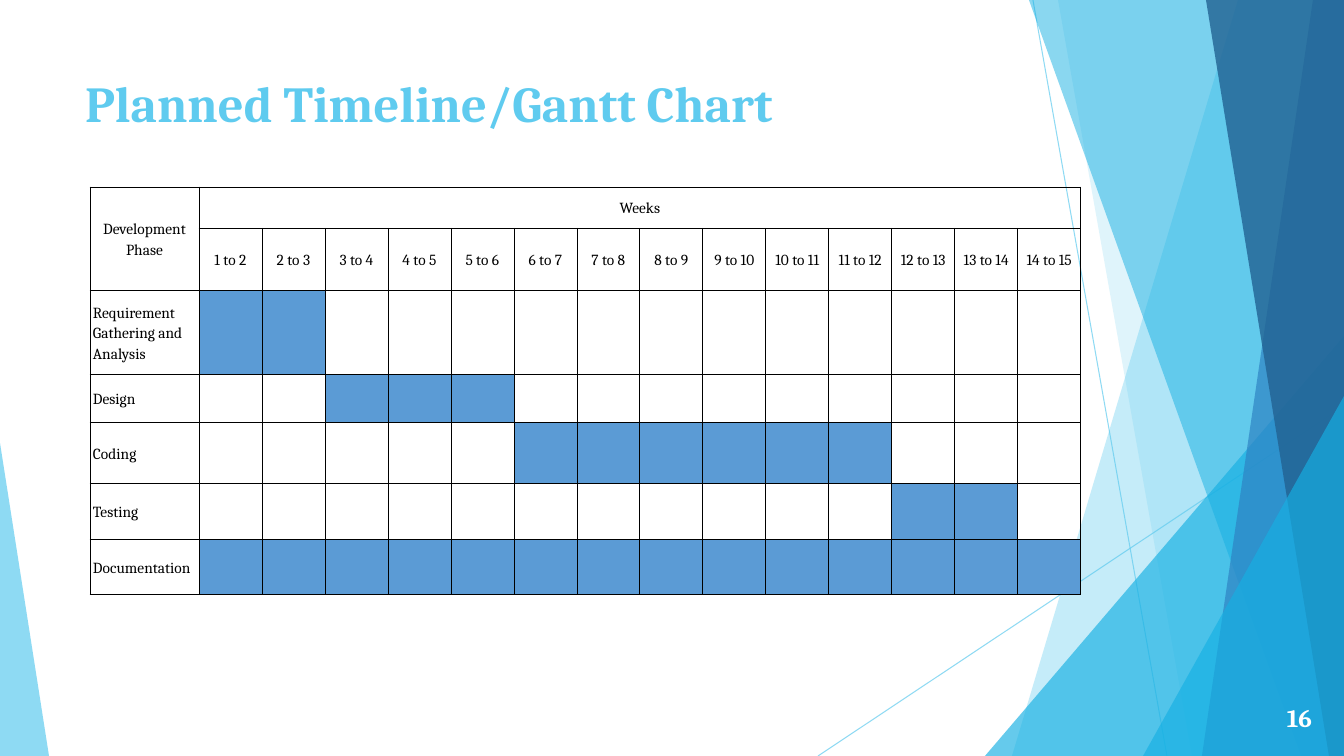
import pptx
import pptx.dml.color
import pptx.enum.shapes
import pptx.enum.text
import pptx.oxml
import pptx.oxml.ns
import pptx.util

TITLE = "Planned Timeline/Gantt Chart"
PAGE_NUMBER = "16"
FONT = "Cambria"
SKY, AQUA, BLUE, NAVY = "5FCBEF", "16B0E3", "2E83C3", "226292"
BLACK, WHITE, BAR = "000000", "FFFFFF", "5B9BD5"

# Phase, first and last marked week column
PHASES = [
    ("Requirement Gathering and Analysis", 1, 2),
    ("Design", 3, 5),
    ("Coding", 6, 11),
    ("Testing", 12, 13),
    ("Documentation", 1, 14),
]
WEEK_COUNT = 14
TABLE_LEFT, TABLE_TOP = 90, 187
PHASE_WIDTH, WEEK_WIDTH = 109, 63
ROW_HEIGHTS = [40, 61, 82, 48, 61, 56, 55]

# Decoration, back to front: lengths in px, opacity in percent
RAYS = [(1033, 0, 1167, 756), (1344, 406, 818, 756)]
# Band: left x at top, right x at top, right x at bottom, left x at bottom
# Triangle: left, top, width, height, apex position
FACETS = [
    ("band", (1238, 1344, 1344, 1012), SKY, 36),
    ("band", (1058, 1344, 1344, 1192), SKY, 20),
    ("triangle", (985, 336, 359, 420, 1), AQUA, 66),
    ("band", (1029, 1344, 1344, 1301), AQUA, 50),
    ("band", (1313, 1344, 1344, 1202), BLUE, 70),
    ("band", (1206, 1344, 1344, 1329), NAVY, 80),
    ("triangle", (1143, 396, 201, 360, 1), AQUA, 66),
    ("triangle", (0, 443, 49, 313, 0), SKY, 70),
]
SLIDE_WIDTH, SLIDE_HEIGHT = 1344, 756
ALIGN = pptx.enum.text.PP_ALIGN
ANCHOR = pptx.enum.text.MSO_ANCHOR


def px(length):
    return pptx.util.Emu(round(length * 914400 / 100.8))


def color(code):
    return pptx.dml.color.RGBColor.from_string(code)


def set_opacity(shape, percent):
    for node in shape._element.spPr.iter(pptx.oxml.ns.qn("a:srgbClr")):
        node.append(pptx.oxml.parse_xml(
            f'<a:alpha {pptx.oxml.ns.nsdecls("a")} val="{percent * 1000}"/>'))


def write(frame, text, size, code, align, bold=False):
    para = frame.paragraphs[0]
    para.text = text
    para.alignment = align
    para.font.name = FONT
    para.font.size = pptx.util.Pt(size)
    para.font.bold = bold
    para.font.color.rgb = color(code)
    return para


def add_ray(page, ends):
    ray = page.shapes.add_connector(
        pptx.enum.shapes.MSO_CONNECTOR.STRAIGHT, *map(px, ends))
    ray.line.color.rgb = color(SKY)
    ray.line.width = pptx.util.Pt(0.75)
    set_opacity(ray, 70)
    ray._element.spPr.append(pptx.oxml.parse_xml(
        f'<a:effectLst {pptx.oxml.ns.nsdecls("a")}/>'))


def add_facet(page, kind, geometry, code, opacity):
    if kind == "band":
        corners = list(zip(map(px, geometry), map(px, (0, 0, SLIDE_HEIGHT, SLIDE_HEIGHT))))
        builder = page.shapes.build_freeform(*corners[0])
        builder.add_line_segments(corners[1:], close=True)
        facet = builder.convert_to_shape()
    else:
        facet = page.shapes.add_shape(
            pptx.enum.shapes.MSO_SHAPE.ISOSCELES_TRIANGLE, *map(px, geometry[:4]))
        facet.adjustments[0] = geometry[4]
    facet.shadow.inherit = False
    facet.fill.solid()
    facet.fill.fore_color.rgb = color(code)
    facet.line.fill.background()
    set_opacity(facet, opacity)


def add_borders(cell):
    properties = cell._tc.get_or_add_tcPr()
    for side in ("lnL", "lnR", "lnT", "lnB"):
        properties.append(pptx.oxml.parse_xml(
            f'<a:{side} {pptx.oxml.ns.nsdecls("a")} w="{pptx.util.Pt(0.6)}"><a:solidFill>'
            f'<a:srgbClr val="{BLACK}"/></a:solidFill></a:{side}>'))


def write_cell(cell, text, align):
    cell.vertical_anchor = ANCHOR.MIDDLE
    cell.margin_left = cell.margin_right = px(3)
    cell.margin_top = cell.margin_bottom = px(10)
    write(cell.text_frame, text, 11, BLACK, align).line_spacing = 1.15


def add_gantt(page):
    width = PHASE_WIDTH + WEEK_COUNT * WEEK_WIDTH
    table = page.shapes.add_table(
        len(ROW_HEIGHTS), WEEK_COUNT + 1, px(TABLE_LEFT), px(TABLE_TOP),
        px(width), px(sum(ROW_HEIGHTS))).table
    table.first_row = table.horz_banding = False
    for row, height in zip(table.rows, ROW_HEIGHTS):
        row.height = px(height)
    for index, column in enumerate(table.columns):
        column.width = px(WEEK_WIDTH if index else PHASE_WIDTH)
    for cell in table.iter_cells():
        add_borders(cell)
        cell.fill.background()

    # Headings
    table.cell(0, 0).merge(table.cell(1, 0))
    table.cell(0, 1).merge(table.cell(0, WEEK_COUNT))
    write_cell(table.cell(0, 0), "Development Phase", ALIGN.CENTER)
    write_cell(table.cell(0, 1), "Weeks", ALIGN.CENTER)
    for week in range(1, WEEK_COUNT + 1):
        write_cell(table.cell(1, week), f"{week} to {week + 1}", ALIGN.CENTER)

    # Phases and their bars
    for row, (phase, first, last) in enumerate(PHASES, start=2):
        write_cell(table.cell(row, 0), phase, ALIGN.LEFT)
        for week in range(first, last + 1):
            fill = table.cell(row, week).fill
            fill.solid()
            fill.fore_color.rgb = color(BAR)


def main():
    deck = pptx.Presentation()
    deck.slide_width, deck.slide_height = px(SLIDE_WIDTH), px(SLIDE_HEIGHT)
    page = deck.slides.add_slide(deck.slide_layouts[5])

    # Decoration
    for ends in RAYS:
        add_ray(page, ends)
    for facet in FACETS:
        add_facet(page, *facet)

    # Title
    title = page.shapes.title
    title.left, title.top, title.width, title.height = map(px, (75, 67, 948, 145))
    title.text_frame.vertical_anchor = ANCHOR.TOP
    write(title.text_frame, TITLE, 36, SKY, ALIGN.LEFT, bold=True)

    # Page number
    box = page.shapes.add_textbox(*map(px, (1247, 697, 75, 40)))
    box.text_frame.word_wrap = True
    box.text_frame.vertical_anchor = ANCHOR.MIDDLE
    write(box.text_frame, PAGE_NUMBER, 18, WHITE, ALIGN.RIGHT, bold=True)

    add_gantt(page)
    deck.save("out.pptx")


if __name__ == "__main__":
    main()
